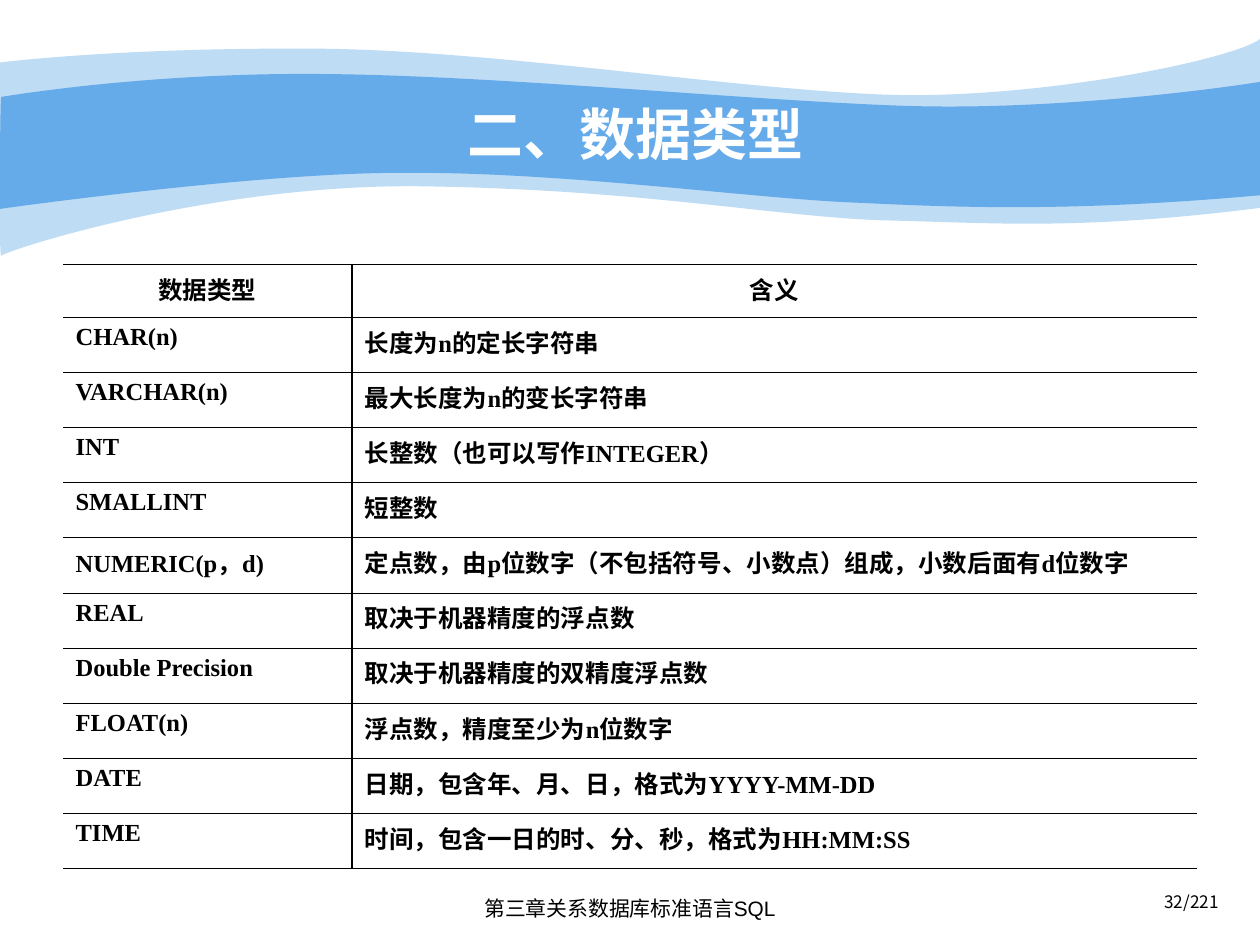
from pptx import Presentation
from pptx.dml.color import RGBColor
from pptx.enum.text import MSO_ANCHOR, MSO_AUTO_SIZE, PP_ALIGN
from pptx.oxml.ns import qn
from pptx.util import Pt
from lxml.etree import SubElement

HUES = {"wave": "65AAE9", "ink": "000000", "pale": "FFFFFF"}
TITLE = "二、数据类型"
ROWS = [
    ("数据类型", "含义"),
    ("CHAR(n)", "长度为n的定长字符串"),
    ("VARCHAR(n)", "最大长度为n的变长字符串"),
    ("INT", "长整数（也可以写作INTEGER）"),
    ("SMALLINT", "短整数"),
    ("NUMERIC(p，d)", "定点数，由p位数字（不包括符号、小数点）组成，小数后面有d位数字"),
    ("REAL", "取决于机器精度的浮点数"),
    ("Double Precision", "取决于机器精度的双精度浮点数"),
    ("FLOAT(n)", "浮点数，精度至少为n位数字"),
    ("DATE", "日期，包含年、月、日，格式为YYYY-MM-DD"),
    ("TIME", "时间，包含一日的时、分、秒，格式为HH:MM:SS"),
]
NOTES = [
    ("32/221", (535.7, 508.3, 167.8, 20.9), PP_ALIGN.RIGHT, 0.8,
     {"size": Pt(9.8), "name": "Noto Sans CJK SC"}),
    ("第三章关系数据库标准语言SQL", (245.9, 508.3, 228.2, 23), PP_ALIGN.CENTER, 1.0,
     {"size": Pt(11.9), "name": "Arial"}),
]
WAVES = [
    (41, (0, 35.7), [
        (17.3, 33.8, 77, 27.4, 177.8, 27.8),
        (277.9, 28.1, 414, 50.4, 503.3, 54),
        (591.8, 57.6, 705.6, 33.8, 720, 22.3),
        (720, 118.8),
        (617.8, 131.8, 566.6, 127.4, 507.6, 126),
        (447.8, 124.6, 370.8, 108.7, 247, 106.6),
        (123.8, 103.7, 2.9, 143.3, 0.7, 146.2),
        (-0.7, 149.8, 0, 54, 0, 35.7),
    ]),
    (100, (0.7, 55.4), [
        (1.4, 55.4, 79.2, 41.8, 178.6, 42.3),
        (277.9, 42.5, 428.4, 57.6, 517, 60.5),
        (605.5, 63.4, 702.7, 49.7, 720, 46.8),
        (720, 111.6),
        (614.2, 121, 550.8, 118.8, 491, 115.9),
        (431.3, 113.8, 321.8, 97.9, 228.2, 98.8),
        (146.2, 98.8, -1.4, 119.5, -0.7, 119.5),
        (0, 119.5, 0, 55.4, 0.7, 55.4),
    ]),
]
WIDTHS = (165.2, 482.8)
TOP, HEAD, STEP = 151, 30.24, 31.54
THIN, THICK = 0.45, 1.08
INDENT = 27


def apply(item, form):
    for key, val in form.items():
        setattr(item, key, val)


def style(para, hue, form):
    font = para.runs[0].font
    apply(font, form)
    font.color.rgb = RGBColor.from_string(HUES[hue])


def bend(wave, parts):
    trace = next(wave.element.iter(qn("a:path")))
    lines = iter(trace.findall(qn("a:lnTo")))
    for part in parts:
        lead = next(lines)
        if len(part) == 6:
            lead.tag = qn("a:cubicBezTo")
            for line in (next(lines), next(lines)):
                lead.append(line[0])
                trace.remove(line)


def draw_wave(shapes, alpha, start, parts):
    dots = [(Pt(x), Pt(y)) for part in parts for x, y in zip(part[::2], part[1::2])]
    pen = shapes.build_freeform(*map(Pt, start), scale=1.0)
    pen.add_line_segments(dots, close=True)
    wave = pen.convert_to_shape()
    bend(wave, parts)
    wave.shadow.inherit = False
    wave.line.fill.background()
    wave.fill.solid()
    wave.fill.fore_color.rgb = RGBColor.from_string(HUES["wave"])
    if alpha < 100:
        tone = wave.element.spPr.find(qn("a:solidFill"))[0]
        SubElement(tone, qn("a:alpha"), val=str(alpha * 1000))


def edge(cell, side, width):
    props = cell._tc.get_or_add_tcPr()
    line = SubElement(props, qn("a:ln" + side), w=str(Pt(width)))
    if width:
        fill = SubElement(line, qn("a:solidFill"))
        SubElement(fill, qn("a:srgbClr"), val=HUES["ink"])
    else:
        SubElement(line, qn("a:noFill"))


def fill_cell(cell, text, row, col):
    sides = {"L": THICK * col, "R": THICK * (1 - col), "T": THIN, "B": THIN}
    for side, width in sides.items():
        edge(cell, side, width)
    cell.fill.background()
    cell.text = text
    para = cell.text_frame.paragraphs[0]
    para.alignment = PP_ALIGN.LEFT if row else PP_ALIGN.CENTER
    props = para._p.get_or_add_pPr()
    props.set("marL", str(Pt(INDENT)))
    props.set("indent", str(-Pt(INDENT)))
    style(para, "ink", {"size": Pt(14), "name": "Times New Roman", "bold": True})


def add_grid(shapes):
    high = HEAD + STEP * (len(ROWS) - 1)
    grid = shapes.add_table(len(ROWS), len(WIDTHS), Pt(36), Pt(TOP),
                            Pt(sum(WIDTHS)), Pt(high)).table
    apply(grid, {"first_row": False, "horz_banding": False})
    for col, width in enumerate(WIDTHS):
        grid.columns[col].width = Pt(width)
    for row, texts in enumerate(ROWS):
        grid.rows[row].height = Pt(STEP if row else HEAD)
        for col, text in enumerate(texts):
            fill_cell(grid.cell(row, col), text, row, col)


def add_note(shapes, text, box, align, space, form):
    frame = shapes.add_textbox(*map(Pt, box)).text_frame
    frame.word_wrap = True
    frame.text = text
    para = frame.paragraphs[0]
    apply(para, {"alignment": align, "line_spacing": space})
    style(para, "ink", form)


def set_title(shapes):
    title = shapes.title
    apply(title, {"left": Pt(72.3), "top": Pt(54), "width": Pt(581.8), "height": Pt(44.6)})
    frame = title.text_frame
    frame.text = TITLE
    apply(frame, {"margin_left": 0, "margin_right": 0, "margin_top": 0, "margin_bottom": 0,
                  "vertical_anchor": MSO_ANCHOR.MIDDLE, "auto_size": MSO_AUTO_SIZE.NONE})
    para = frame.paragraphs[0]
    para.alignment = PP_ALIGN.CENTER
    style(para, "pale", {"size": Pt(32), "name": "Arial", "bold": True})
    shapes.element.append(title.element)


def main():
    deck = Presentation()
    apply(deck, {"slide_width": Pt(720), "slide_height": Pt(540)})
    shapes = deck.slides.add_slide(deck.slide_layouts[5]).shapes
    for wave in WAVES:
        draw_wave(shapes, *wave)
    for note in NOTES:
        add_note(shapes, *note)
    set_title(shapes)
    add_grid(shapes)
    deck.save("out.pptx")


if __name__ == "__main__":
    main()
